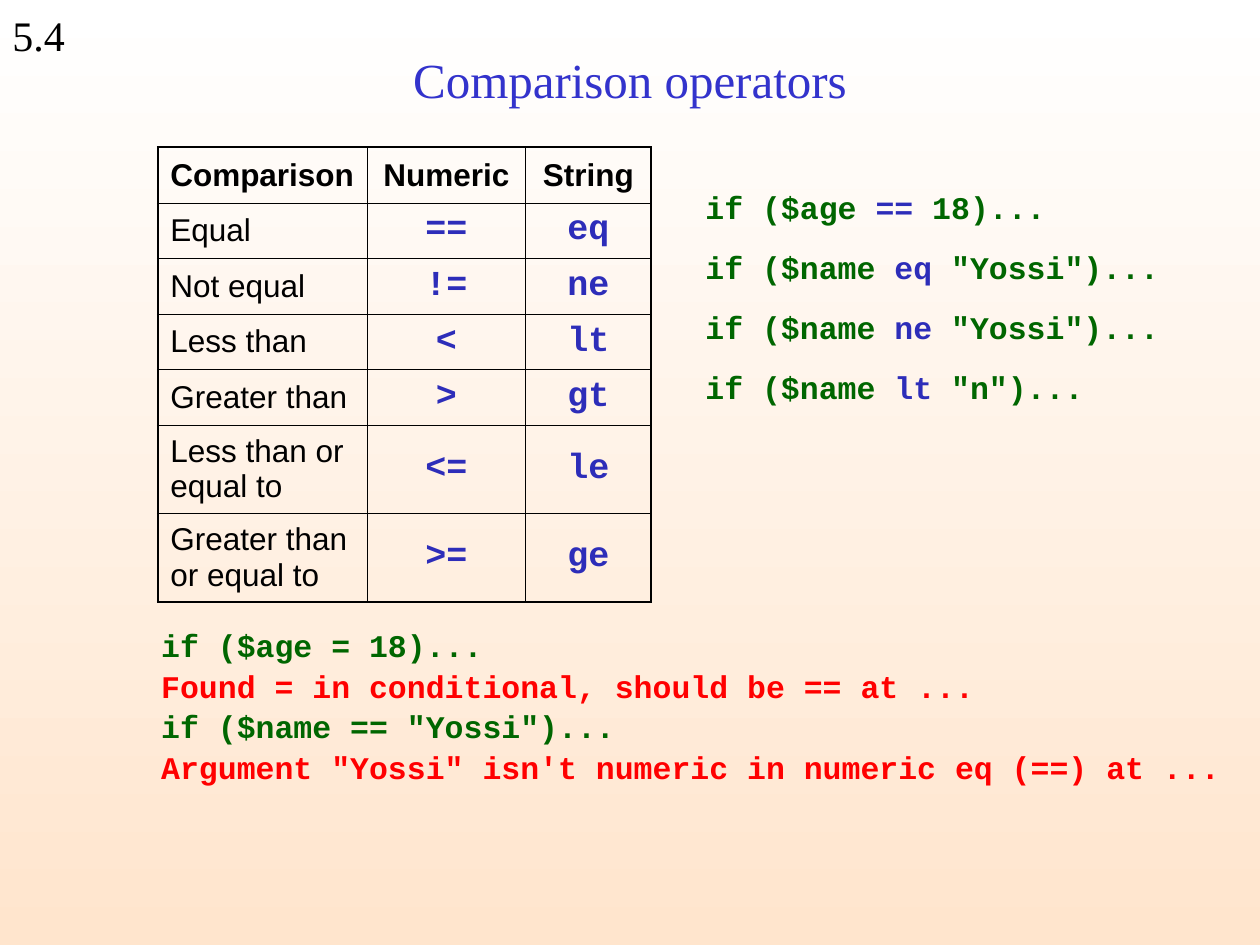
from dataclasses import dataclass

from lxml.etree import SubElement
from pptx import Presentation
from pptx.dml.color import RGBColor
from pptx.enum.text import MSO_ANCHOR, PP_ALIGN
from pptx.oxml.ns import qn
from pptx.util import Cm, Pt


@dataclass(frozen=True)
class Theme:
    """Colours, fonts and type sizes of the slide."""
    black: str = "000000"
    title: str = "3333CC"
    operator: str = "2D2DB9"
    code: str = "006600"
    error: str = "FF0000"
    background: tuple = ("FFFFFF", "FFE5CD")
    serif: str = "Times New Roman"
    sans: str = "Arial"
    mono: str = "Courier New"
    title_size: int = 28
    number_size: int = 24
    operator_size: int = 20
    text_size: int = 18
    outer_border: float = 1.08
    inner_border: float = 0.45
    line_spacing: float = 1.07


THEME = Theme()

OPERATORS = [
    ("Comparison", "Numeric", "String"),
    ("Equal", "==", "eq"),
    ("Not equal", "!=", "ne"),
    ("Less than", "<", "lt"),
    ("Greater than", ">", "gt"),
    ("Less than or equal to", "<=", "le"),
    ("Greater than or equal to", ">=", "ge"),
]
COLUMN_WIDTHS = (4.23, 3.18, 2.54)
ROW_HEIGHTS = (1.12,) * 5 + (1.78,) * 2

EXAMPLES = [
    ("if ($age ", "==", " 18)..."),
    ("if ($name ", "eq", ' "Yossi")...'),
    ("if ($name ", "ne", ' "Yossi")...'),
    ("if ($name ", "lt", ' "n")...'),
]
MISTAKES = [
    ("if ($age = 18)...", "Found = in conditional, should be == at ..."),
    ('if ($name == "Yossi")...',
     'Argument "Yossi" isn\'t numeric in numeric eq (==) at ...'),
]


def style_font(font, name, size, color, bold=False):
    """Set face, size, colour and weight of a font."""
    font.name, font.size, font.bold = name, Pt(size), bold
    font.color.rgb = RGBColor.from_string(color)


def paint_background(slide):
    """Fill the slide from top to bottom with the theme gradient."""
    fill = slide.background.fill
    fill.gradient()
    fill.gradient_angle = 270
    for stop, color in zip(fill.gradient_stops, THEME.background):
        stop.color.rgb = RGBColor.from_string(color)


def add_title(slide, text):
    """Place and format the title placeholder."""
    title = slide.shapes.title
    title.left, title.top, title.width, title.height = Cm(1.9), Cm(0.43), Cm(21.6), Cm(2.34)
    frame = title.text_frame
    frame.text = text
    frame.vertical_anchor = MSO_ANCHOR.MIDDLE
    paragraph = frame.paragraphs[0]
    paragraph.alignment = PP_ALIGN.CENTER
    style_font(paragraph.font, THEME.serif, THEME.title_size, THEME.title)


def add_lines(slide, box, lines, font_name, size, bold=False, gap=0):
    """Add a text box whose lines are lists of (text, colour) pieces."""
    frame = slide.shapes.add_textbox(*map(Cm, box)).text_frame
    frame.word_wrap = True
    for index, pieces in enumerate(lines):
        paragraph = frame.add_paragraph() if index else frame.paragraphs[0]
        paragraph.line_spacing = THEME.line_spacing
        if index and gap:
            paragraph.space_before = Pt(gap)
        style_font(paragraph.font, font_name, size, pieces[0][1], bold)
        for text, color in pieces:
            run = paragraph.add_run()
            run.text = text
            if color != pieces[0][1]:
                run.font.color.rgb = RGBColor.from_string(color)


def set_borders(cell, widths):
    """Draw the left, right, top and bottom borders of a cell."""
    properties = cell._tc.get_or_add_tcPr()
    for side, width in zip("LRTB", widths):
        line = SubElement(properties, qn(f"a:ln{side}"), w=str(Pt(width)))
        fill = SubElement(line, qn("a:solidFill"))
        SubElement(fill, qn("a:srgbClr"), val=THEME.black)


def add_operator_table(slide):
    """Add the table of numeric and string operators."""
    rows, columns = len(OPERATORS), len(COLUMN_WIDTHS)
    table = slide.shapes.add_table(
        rows, columns, Cm(3.18), Cm(2.97),
        Cm(sum(COLUMN_WIDTHS)), Cm(sum(ROW_HEIGHTS))).table
    table.first_row = table.horz_banding = False
    for column, width in zip(table.columns, COLUMN_WIDTHS):
        column.width = Cm(width)
    for row, height in zip(table.rows, ROW_HEIGHTS):
        row.height = Cm(height)
    for row, texts in enumerate(OPERATORS):
        for column, text in enumerate(texts):
            cell = table.cell(row, column)
            edges = (column == 0, column == columns - 1, row == 0, row == rows - 1)
            set_borders(cell, [THEME.outer_border if edge else THEME.inner_border
                               for edge in edges])
            cell.fill.background()
            cell.vertical_anchor = MSO_ANCHOR.MIDDLE
            cell.text = text
            paragraph = cell.text_frame.paragraphs[0]
            paragraph.alignment = PP_ALIGN.CENTER if column else PP_ALIGN.LEFT
            if row and column:
                style_font(paragraph.font, THEME.mono, THEME.operator_size, THEME.operator, True)
            else:
                style_font(paragraph.font, THEME.sans, THEME.text_size, THEME.black, row == 0)


def main():
    """Build and save the slide."""
    presentation = Presentation()
    presentation.slide_width, presentation.slide_height = Cm(25.4), Cm(19.05)
    slide = presentation.slides.add_slide(presentation.slide_layouts[5])
    paint_background(slide)
    add_lines(slide, (0, 0, 3.18, 1.27), [[("5.4", THEME.black)]],
              THEME.serif, THEME.number_size)
    add_title(slide, "Comparison operators")
    add_operator_table(slide)
    examples = [list(zip(pieces, (THEME.code, THEME.operator, THEME.code)))
                for pieces in EXAMPLES]
    add_lines(slide, (13.97, 3.61, 10.8, 5.66), examples,
              THEME.mono, THEME.text_size, bold=True, gap=11.2)
    mistakes = [[piece] for pair in MISTAKES
                for piece in zip(pair, (THEME.code, THEME.error))]
    add_lines(slide, (3, 12.45, 22.3, 4.06), mistakes,
              THEME.mono, THEME.text_size, bold=True)
    presentation.save("out.pptx")


if __name__ == "__main__":
    main()
